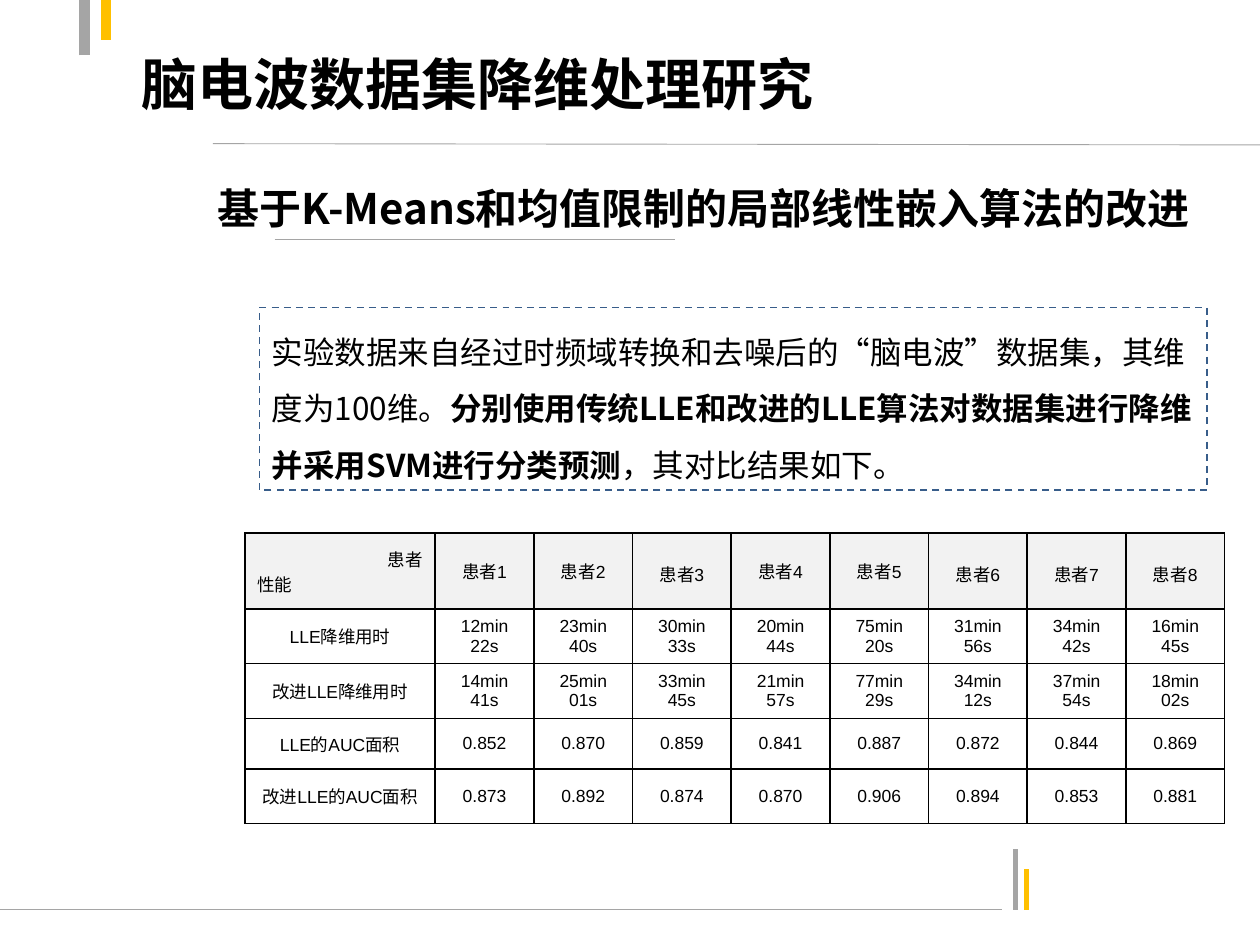
"""Build the slide comparing LLE and improved LLE on brain-wave data."""
from lxml import etree
from pptx import Presentation
from pptx import util as u
from pptx.dml import color as dml_color
from pptx.enum import dml, shapes, text
from pptx.oxml import ns

Pt = u.Pt
ALIGN = text.PP_ALIGN
MIDDLE = text.MSO_ANCHOR.MIDDLE
NOTO = "Noto Sans CJK SC"


def rgb(value):
    return dml_color.RGBColor.from_string(value)


def write(paragraph, content, align=ALIGN.LEFT, spacing=None, **formats):
    paragraph.alignment = align
    if spacing:
        paragraph.line_spacing = spacing
    run = paragraph.add_run()
    run.text = content
    for name, value in formats.items():
        setattr(run.font, name, value)
    run.font.color.rgb = rgb("000000")
    etree.SubElement(run.font._element, ns.qn("a:ea"), typeface=NOTO)


presentation = Presentation()
presentation.slide_width, presentation.slide_height = Pt(720), Pt(540)
slide = presentation.slides.add_slide(presentation.slide_layouts[5])

rules = [
    (-3, 519.8, 572.4, 519.8, "A5A5A5", 0.75),
    (580.3, 519.8, 580.3, 485.3, "A5A5A5", 3),
    (586.8, 519.8, 586.8, 496.8, "FFC000", 3),
    (48.2, 31.7, 48.2, -2, "A5A5A5", 6),
    (60.5, 0, 60.5, 23, "FFC000", 6),
    (121.7, 82.1, 720.7, 82.8, "A5A5A5", 0.5),
    (157, 136.8, 386, 136.8, "A5A5A5", 0.5),
]
for x1, y1, x2, y2, color, width in rules:
    rule = slide.shapes.add_connector(
        shapes.MSO_CONNECTOR.STRAIGHT, Pt(x1), Pt(y1), Pt(x2), Pt(y2))
    rule.line.color.rgb = rgb(color)
    rule.line.width = Pt(width)
    etree.SubElement(rule._element.spPr, ns.qn("a:effectLst"))

title = slide.shapes.title
title.left, title.top, title.width, title.height = Pt(52.6), Pt(2.2), Pt(648), Pt(90)
title.text_frame.auto_size = text.MSO_AUTO_SIZE.NONE
title.text_frame.vertical_anchor = MIDDLE
title.text_frame.margin_left = Pt(28.2)
write(title.text_frame.paragraphs[0], "脑电波数据集降维处理研究",
      size=Pt(32), name="Calibri", bold=True)

heading = slide.shapes.add_textbox(Pt(114.5), Pt(92.2), Pt(575.3), Pt(44.6))
heading.text_frame.word_wrap = True
write(heading.text_frame.paragraphs[0], "基于K-Means和均值限制的局部线性嵌入算法的改进",
      ALIGN.CENTER, 1.3, size=Pt(24), name=NOTO, bold=True)

summary = slide.shapes.add_shape(
    shapes.MSO_SHAPE.RECTANGLE, Pt(148.3), Pt(175.7), Pt(541.4), Pt(104.4))
summary.shadow.inherit = False
summary.fill.background()
summary.line.color.rgb = rgb("385D8A")
summary.line.width = Pt(1)
summary.line.dash_style = dml.MSO_LINE.DASH
summary.text_frame.word_wrap = True
summary.text_frame.vertical_anchor = text.MSO_ANCHOR.TOP
summary_runs = [
    ("实验数据来自经过时频域转换和去噪后的“脑电波”数据集，其维度为100维。", False),
    ("分别使用传统LLE和改进的LLE算法对数据集进行降维并采用SVM进行分类预测", True),
    ("，其对比结果如下。", False),
]
for content, bold in summary_runs:
    write(summary.text_frame.paragraphs[0], content, spacing=1.5,
          size=Pt(18), name=NOTO, bold=bold)

rows = [
    ["患者"] + [f"患者{number}" for number in range(1, 9)],
    ["LLE降维用时", "12min 22s", "23min 40s", "30min 33s", "20min 44s",
     "75min 20s", "31min 56s", "34min 42s", "16min 45s"],
    ["改进LLE降维用时", "14min 41s", "25min 01s", "33min 45s", "21min 57s",
     "77min 29s", "34min 12s", "37min 54s", "18min 02s"],
    ["LLE的AUC面积", "0.852", "0.870", "0.859", "0.841",
     "0.887", "0.872", "0.844", "0.869"],
    ["改进LLE的AUC面积", "0.873", "0.892", "0.874", "0.870",
     "0.906", "0.894", "0.853", "0.881"],
]
row_heights = [43.4, 31.1, 31.1, 28.9, 31.1]
column_widths = [108.8] + [56.4] * 8
lowered_patients = {3, 6, 7, 8}
cell_font = {"size": Pt(10), "name": "Arial", "bold": False}

table = slide.shapes.add_table(
    len(rows), len(column_widths), Pt(139.9), Pt(304.6),
    Pt(sum(column_widths)), Pt(sum(row_heights))).table
for column, width in zip(table.columns, column_widths):
    column.width = Pt(width)
for row_index, values in enumerate(rows):
    table.rows[row_index].height = Pt(row_heights[row_index])
    for column_index, value in enumerate(values):
        cell = table.cell(row_index, column_index)
        corner = row_index == column_index == 0
        lowered = row_index == 0 and column_index in lowered_patients
        cell.vertical_anchor = MIDDLE
        cell.margin_top = Pt(7 if lowered else 3.6)
        write(cell.text_frame.paragraphs[0], value,
              ALIGN.RIGHT if corner else ALIGN.CENTER, **cell_font)
        if corner:
            write(cell.text_frame.add_paragraph(), "性能", **cell_font)
        properties = cell._tc.get_or_add_tcPr()
        for side in ("a:lnL", "a:lnR", "a:lnT", "a:lnB"):
            border = etree.SubElement(properties, ns.qn(side), w=str(Pt(1)))
            border_fill = etree.SubElement(border, ns.qn("a:solidFill"))
            etree.SubElement(border_fill, ns.qn("a:srgbClr"), val="000000")
        if row_index == 0:
            cell.fill.solid()
            cell.fill.fore_color.rgb = rgb("F2F2F2")
        else:
            cell.fill.background()

presentation.save("out.pptx")
